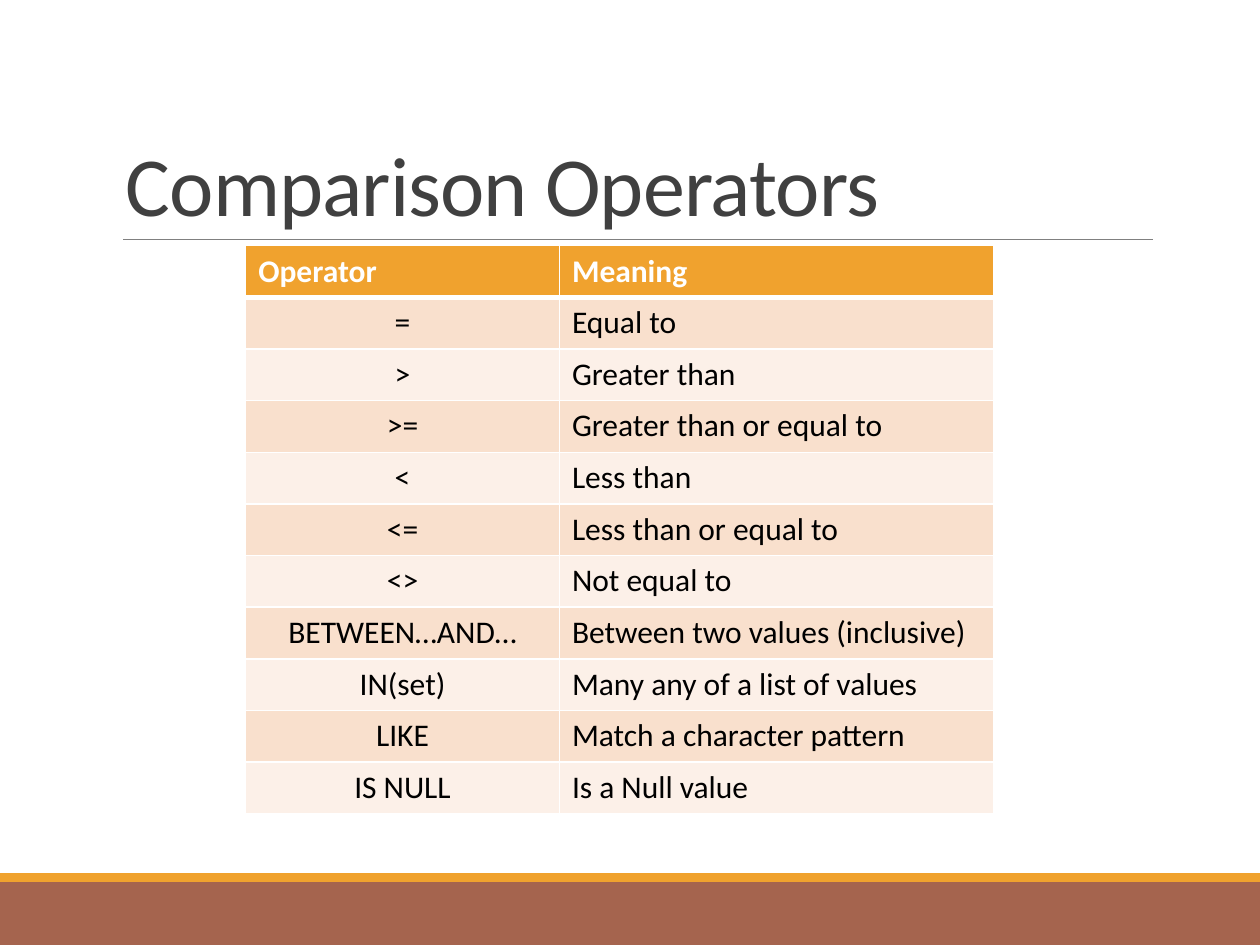
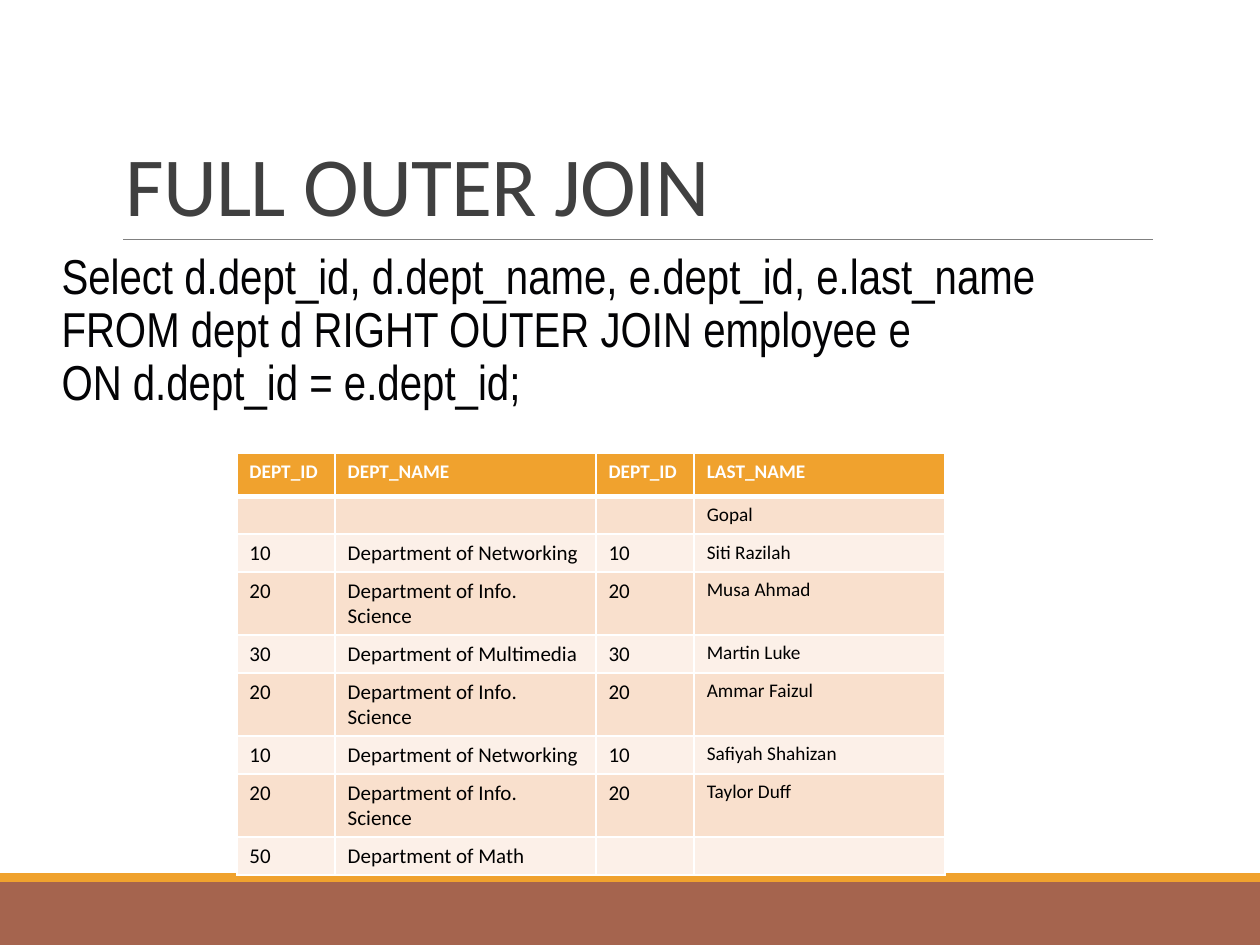
from dataclasses import dataclass

from lxml import etree
from pptx import Presentation
from pptx import util as u
from pptx.dml.color import RGBColor
from pptx.enum import shapes, text
from pptx.oxml.ns import qn

OPERATORS = {
    "title": "Comparison Operators",
    "at": (1.95, 1.95),
    "columns": (2.49, 3.45),
    "heights": (0.41, 0.41),
    "sizes": (18, 18),
    "header_size": 18,
    "centred": {0},
    "rows": [
        ("Operator", "Meaning"),
        ("=", "Equal to"),
        (">", "Greater than"),
        (">=", "Greater than or equal to"),
        ("<", "Less than"),
        ("<=", "Less than or equal to"),
        ("<>", "Not equal to"),
        ("BETWEEN…AND…", "Between two values (inclusive)"),
        ("IN(set)", "Many any of a list of values"),
        ("LIKE", "Match a character pattern"),
        ("IS NULL", "Is a Null value"),
    ],
}

OUTER_JOIN = {
    "title": "FULL OUTER JOIN",
    "at": (1.88, 3.6),
    "columns": (0.78, 2.07, 0.78, 1.99),
    "heights": (0.34, 0.3),
    "sizes": (12, 12, 12, 11),
    "header_size": 11,
    "centred": set(),
    "rows": [
        ("DEPT_ID", "DEPT_NAME", "DEPT_ID", "LAST_NAME"),
        ("", "", "", "Gopal"),
        ("10", "Department of Networking", "10", "Siti Razilah"),
        ("20", "Department of Info. Science", "20", "Musa Ahmad"),
        ("30", "Department of Multimedia", "30", "Martin Luke"),
        ("20", "Department of Info. Science", "20", "Ammar Faizul"),
        ("10", "Department of Networking", "10", "Safiyah Shahizan"),
        ("20", "Department of Info. Science", "20", "Taylor Duff"),
        ("50", "Department of Math", "", ""),
    ],
}

QUERY = [
    "Select d.dept_id, d.dept_name, e.dept_id, e.last_name",
    "FROM dept d RIGHT OUTER JOIN employee e",
    "ON d.dept_id = e.dept_id;",
]


@dataclass(frozen=True)
class Theme:
    brown: str = "A5644E"
    amber: str = "F0A22E"
    rule: str = "808080"
    title: str = "404040"
    query: str = "030305"
    ink: str = "000000"
    white: str = "FFFFFF"
    stripes: tuple = ("FCF0E8", "F9E0CD")
    font: str = "Calibri"
    query_font: str = "Arial Narrow"
    title_size: int = 48
    query_size: int = 28
    title_tracking: int = -50
    thin: int = 1
    thick: int = 3


THEME = Theme()
BANDS = [(7, 0.5, THEME.brown), (6.93, 0.07, THEME.amber)]


def inches(*values):
    return [u.Inches(value) for value in values]


def apply(target, formats):
    for name, value in formats.items():
        setattr(target, name, value)


def write(para, words, size, color, font=THEME.font, bold=False):
    span = para.add_run()
    span.text = words
    apply(span.font, {"name": font, "size": u.Pt(size), "bold": bold})
    span.font.color.rgb = RGBColor.from_string(color)
    return span


def add_text(page, at, lines, spacing, anchor, size, color, font=THEME.font):
    frame = page.shapes.add_textbox(*inches(*at)).text_frame
    apply(frame, {"word_wrap": True, "vertical_anchor": anchor})
    spans = []
    for index, line in enumerate(lines):
        para = frame.add_paragraph() if index else frame.paragraphs[0]
        para.line_spacing = spacing
        spans.append(write(para, line, size, color, font))
    return spans


def add_page(deck, title):
    page = deck.slides.add_slide(deck.slide_layouts[6])
    for top, height, color in BANDS:
        band = page.shapes.add_shape(shapes.MSO_SHAPE.RECTANGLE,
                                     *inches(0, top, 10, height))
        band.shadow.inherit = False
        band.fill.solid()
        band.fill.fore_color.rgb = RGBColor.from_string(color)
        band.line.fill.background()
    rule = page.shapes.add_connector(shapes.MSO_CONNECTOR.STRAIGHT,
                                     *inches(0.98, 1.9, 9.15, 1.9))
    rule.line.color.rgb = RGBColor.from_string(THEME.rule)
    rule.line.width = u.Pt(0.5)
    etree.SubElement(rule._element.spPr, qn("a:effectLst"))
    heading, = add_text(page, (0.9, 0.31, 8.25, 1.59), [title], 0.85,
                        text.MSO_ANCHOR.BOTTOM, THEME.title_size, THEME.title)
    heading._r.get_or_add_rPr().set("spc", str(THEME.title_tracking))
    return page


def set_borders(cell, row):
    widths = {"L": THEME.thin, "R": THEME.thin,
              "T": THEME.thick if row == 1 else THEME.thin,
              "B": THEME.thick if row == 0 else THEME.thin}
    properties = cell._tc.get_or_add_tcPr()
    for index, (side, width) in enumerate(widths.items()):
        line = etree.Element(qn(f"a:ln{side}"), w=str(u.Pt(width)))
        fill = etree.SubElement(line, qn("a:solidFill"))
        etree.SubElement(fill, qn("a:srgbClr"), val=THEME.white)
        properties.insert(index, line)


def fill_cell(cell, words, row, size, centred):
    header = row == 0
    cell.fill.solid()
    cell.fill.fore_color.rgb = RGBColor.from_string(
        THEME.amber if header else THEME.stripes[row % 2])
    set_borders(cell, row)
    para = cell.text_frame.paragraphs[0]
    if centred and not header:
        para.alignment = text.PP_ALIGN.CENTER
    if words:
        write(para, words, size, THEME.white if header else THEME.ink,
              bold=header)
    else:
        etree.SubElement(para._p, qn("a:endParaRPr"), sz=str(size * 100))


def add_grid(page, content):
    rows, columns = content["rows"], content["columns"]
    header_height, row_height = content["heights"]
    heights = [header_height] + [row_height] * (len(rows) - 1)
    table = page.shapes.add_table(
        len(rows), len(columns),
        *inches(*content["at"], sum(columns), sum(heights))).table
    for column, width in zip(table.columns, columns):
        column.width = u.Inches(width)
    for row, (words, height) in enumerate(zip(rows, heights)):
        table.rows[row].height = u.Inches(height)
        for column, word in enumerate(words):
            size = content["sizes"][column] if row > 1 else content["header_size"]
            fill_cell(table.cell(row, column), word, row, size,
                      column in content["centred"])


def main():
    deck = Presentation()
    apply(deck, {"slide_width": u.Inches(10), "slide_height": u.Inches(7.5)})
    add_grid(add_page(deck, OPERATORS["title"]), OPERATORS)
    join_page = add_page(deck, OUTER_JOIN["title"])
    add_text(join_page, (0.39, 1.95, 9.38, 1.37), QUERY, 0.9,
             text.MSO_ANCHOR.TOP, THEME.query_size, THEME.query,
             THEME.query_font)
    add_grid(join_page, OUTER_JOIN)
    deck.save("out.pptx")


if __name__ == "__main__":
    main()
